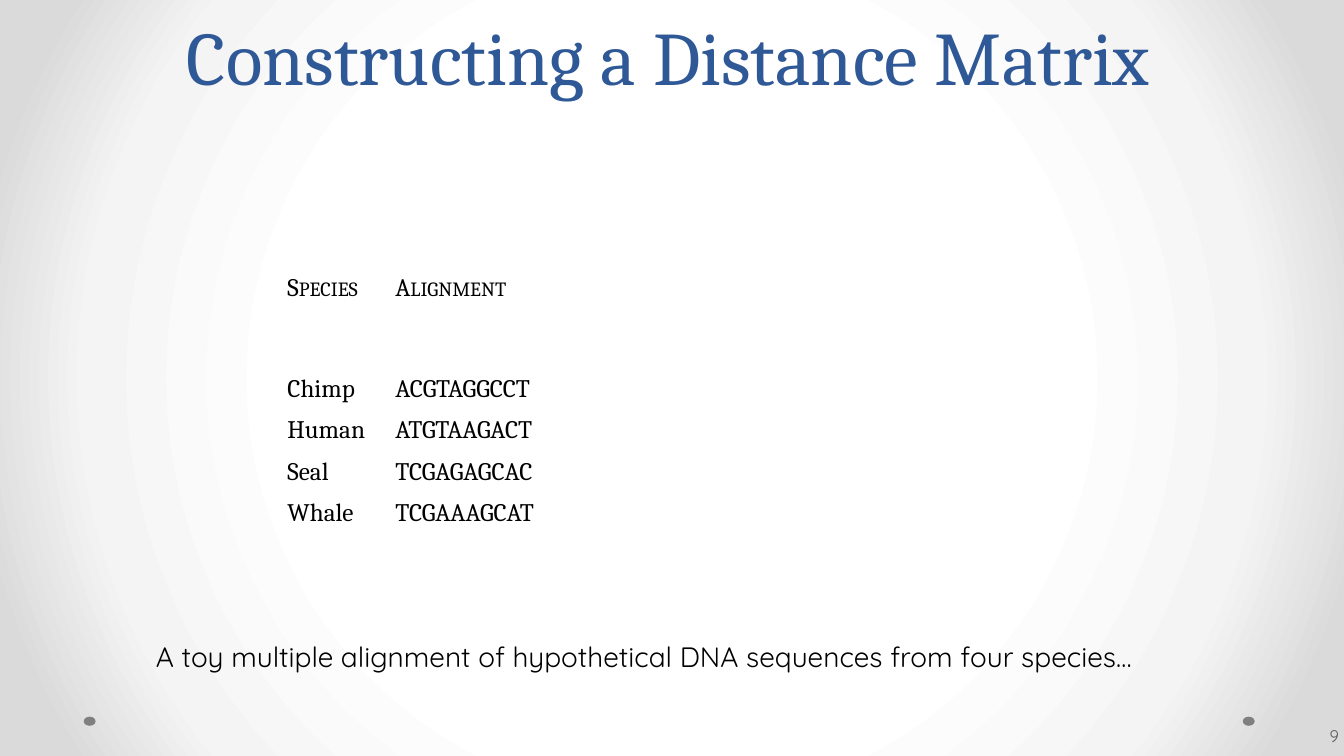
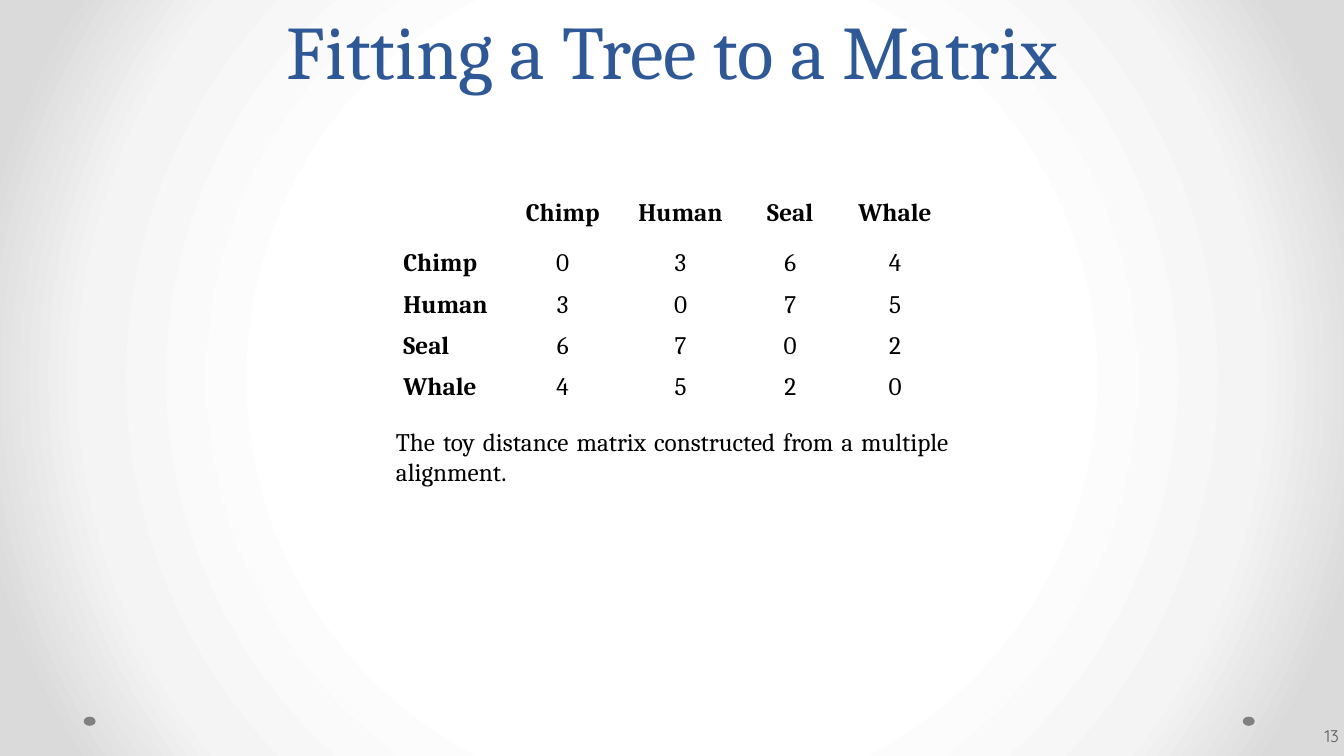
from dataclasses import dataclass

import pptx
import pptx.dml.color
import pptx.enum.shapes
import pptx.enum.text
import pptx.oxml
import pptx.oxml.ns
import pptx.util

Cm = pptx.util.Cm
Pt = pptx.util.Pt
ALIGN = pptx.enum.text.PP_ALIGN
ANCHOR = pptx.enum.text.MSO_ANCHOR
qn = pptx.oxml.ns.qn


@dataclass(frozen=True)
class Theme:
    title_color: str = "2F5897"
    text_color: str = "000000"
    number_color: str = "595959"
    dot_color: str = "808080"
    background_stops: tuple = ((50, "FFFFFF"), (76, "F4F4F4"), (92, "DADADA"))
    serif: str = "Cambria"
    sans: str = "Quicksand"
    title_size: int = 54
    title_spacing: int = 58
    note_size: int = 20
    body_size: int = 18
    number_size: int = 12
    plain_table: str = "{2D5ABB26-0587-4C30-8999-92F81FD0307C}"


class Deck:
    def __init__(self, theme):
        self.theme = theme
        self.presentation = pptx.Presentation()
        self.presentation.slide_width = Cm(33.87)
        self.presentation.slide_height = Cm(19.05)
        self.slide = None
        self.set_background()

    def set_background(self):
        master = self.presentation.slide_master
        master.background.fill.solid()
        stops = "".join(
            f'<a:gs pos="{position * 1000}"><a:srgbClr val="{color}"/></a:gs>'
            for position, color in self.theme.background_stops
        )
        gradient = pptx.oxml.parse_xml(
            f'<a:gradFill {pptx.oxml.ns.nsdecls("a")} rotWithShape="1">'
            f'<a:gsLst>{stops}</a:gsLst><a:path path="circle">'
            '<a:fillToRect l="50000" t="50000" r="50000" b="50000"/>'
            '</a:path></a:gradFill>'
        )
        properties = master.element.find(".//" + qn("p:bgPr"))
        properties.replace(properties[0], gradient)

    def start_slide(self, number):
        self.slide = self.presentation.slides.add_slide(self.presentation.slide_layouts[6])
        for left in (31.32, 2.11):
            self.dot(left, 18.06)
        self.number(number)

    def dot(self, left, top):
        shape = self.slide.shapes.add_shape(
            pptx.enum.shapes.MSO_SHAPE.OVAL, Cm(left), Cm(top), Cm(0.3), Cm(0.23))
        shape.shadow.inherit = False
        shape.fill.solid()
        shape.fill.fore_color.rgb = pptx.dml.color.RGBColor.from_string(self.theme.dot_color)
        shape.line.fill.background()

    def style_text(self, paragraph, text, size, font, color, align=ALIGN.LEFT, bold=False):
        paragraph.text = text
        paragraph.alignment = align
        paragraph.font.size = Pt(size)
        paragraph.font.name = font
        paragraph.font.bold = bold
        paragraph.font.color.rgb = pptx.dml.color.RGBColor.from_string(color)

    def text_box(self, box, text, size, font, color, align=ALIGN.LEFT, anchor=ANCHOR.TOP):
        frame = self.slide.shapes.add_textbox(*map(Cm, box)).text_frame
        frame.word_wrap = True
        frame.vertical_anchor = anchor
        self.style_text(frame.paragraphs[0], text, size, font, color, align)
        return frame

    def title(self, box, text):
        theme = self.theme
        frame = self.text_box(box, text, theme.title_size, theme.serif,
                              theme.title_color, ALIGN.CENTER, ANCHOR.BOTTOM)
        frame.paragraphs[0].line_spacing = Pt(theme.title_spacing)

    def number(self, number):
        theme = self.theme
        frame = self.text_box((26.25, 18.03, 7.62, 1.02), str(number), theme.number_size,
                              theme.sans, theme.number_color, ALIGN.RIGHT, ANCHOR.MIDDLE)
        frame.margin_left = Cm(0.08)
        frame.margin_right = Cm(0.13)

    def note(self, box, text):
        theme = self.theme
        self.text_box(box, text, theme.note_size, theme.sans, theme.text_color)

    def caption(self, box, text):
        theme = self.theme
        self.text_box(box, text, theme.body_size, theme.serif, theme.text_color, ALIGN.JUSTIFY)

    def table(self, left, top, widths, header_height, rows, matrix=False):
        theme = self.theme
        heights = [header_height] + [1.04] * (len(rows) - 1)
        table = self.slide.shapes.add_table(
            len(rows), len(widths), Cm(left), Cm(top), Cm(sum(widths)), Cm(sum(heights))).table
        table.first_row = table.horz_banding = False
        table._tbl.tblPr.find(qn("a:tableStyleId")).text = theme.plain_table
        for column, width in zip(table.columns, widths):
            column.width = Cm(width)
        for row_index, values in enumerate(rows):
            table.rows[row_index].height = Cm(heights[row_index])
            for column_index, value in enumerate(values):
                cell = table.cell(row_index, column_index)
                cell.fill.background()
                paragraph = cell.text_frame.paragraphs[0]
                is_label = row_index == 0 or column_index == 0
                self.style_text(paragraph, value, theme.body_size, theme.serif, theme.text_color,
                                ALIGN.CENTER if matrix and column_index else ALIGN.LEFT,
                                matrix and is_label)
                if row_index == 0 and not matrix:
                    for run in paragraph.runs:
                        run._r.get_or_add_rPr().set("cap", "small")


def distance(first, second):
    return sum(a != b for a, b in zip(first, second))


def main():
    alignment = {
        "Chimp": "ACGTAGGCCT",
        "Human": "ATGTAAGACT",
        "Seal": "TCGAGAGCAC",
        "Whale": "TCGAAAGCAT",
    }
    distance_matrix = [["", *alignment]] + [
        [species, *(str(distance(sequence, other)) for other in alignment.values())]
        for species, sequence in alignment.items()
    ]
    deck = Deck(Theme())

    deck.start_slide(9)
    deck.title((1.6, 0, 30.48, 2.67), "Constructing a Distance Matrix")
    deck.table(6.99, 6.78, (2.72, 5.33), 2.54,
               [("Species", "Alignment"), *alignment.items()])
    deck.note((3.68, 15.98, 28.04, 1.12),
              "A toy multiple alignment of hypothetical DNA sequences from four species…")

    deck.start_slide(13)
    deck.title((1.7, 0.03, 30.48, 2.49), "Fitting a Tree to a Matrix")
    deck.table(9.91, 4.88, (2.72, 3.1, 2.84, 2.69, 2.59), 1.27, distance_matrix, matrix=True)
    deck.caption((9.73, 10.62, 14.43, 1.8),
                 "The toy distance matrix constructed from a multiple alignment.")

    deck.presentation.save("out.pptx")


if __name__ == "__main__":
    main()
